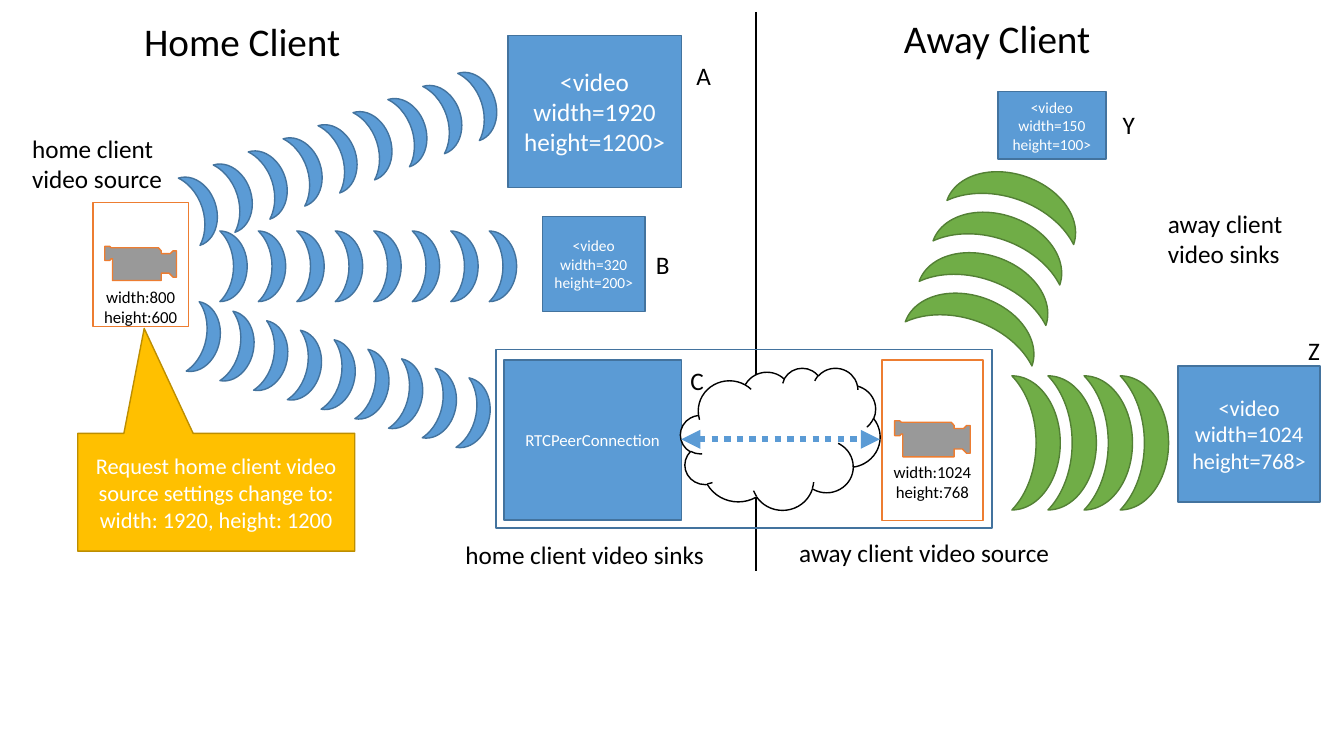
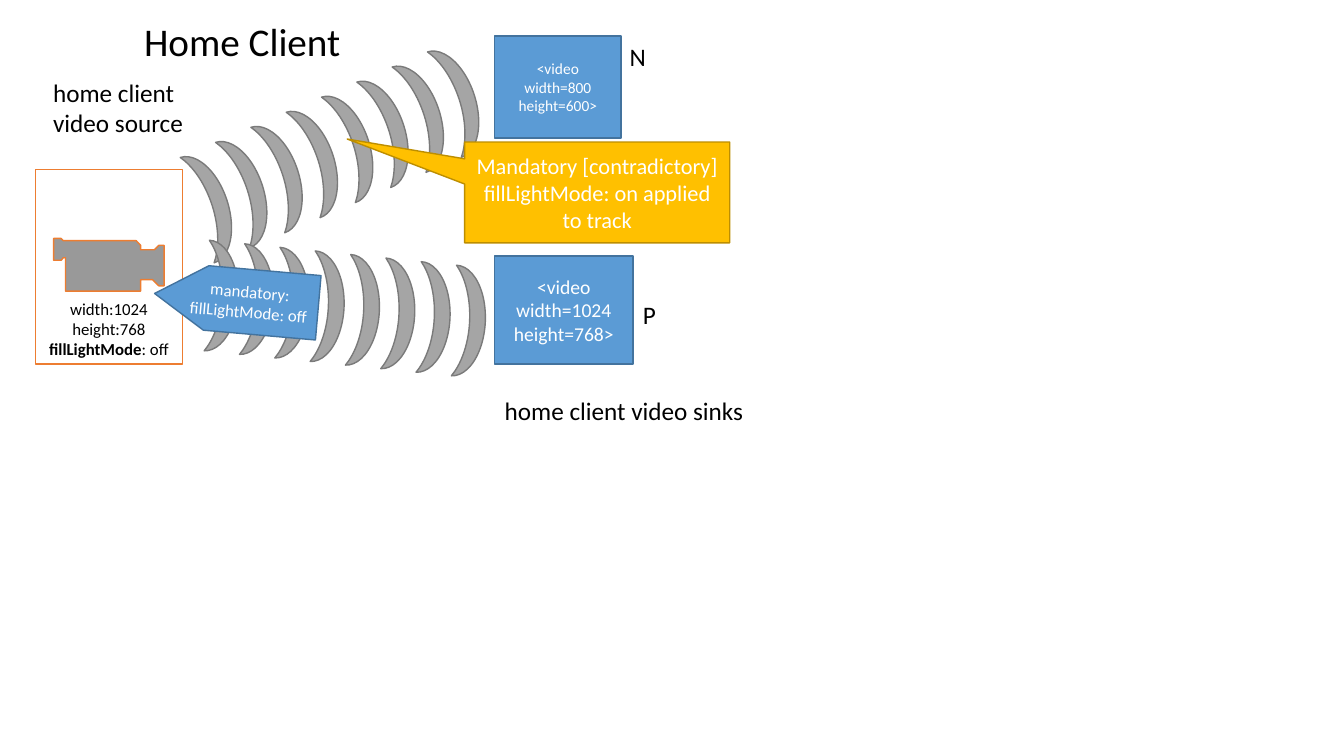
"""Build two slides that show video tracks flowing from sources to sinks."""
from lxml.etree import SubElement
from pptx import Presentation
from pptx.dml.color import RGBColor
from pptx.enum.dml import MSO_LINE
from pptx.enum.shapes import MSO_CONNECTOR, MSO_SHAPE
from pptx.enum.text import MSO_ANCHOR as Anchor, MSO_AUTO_SIZE as AutoSize, PP_ALIGN as Align
from pptx.oxml.ns import qn
from pptx.util import Cm, Pt

FONT = "Calibri"
BLACK, WHITE = "000000", "FFFFFF"
BLUE = ("5B9BD5", "43739E")
GREEN = ("70AD47", "538035")
GRAY = ("A5A5A5", "7A7A7A")
GOLD = ("FFC000", "BD8E00")
CAMERA = (WHITE, "ED7D31")
CLOUD = (WHITE, BLACK)
OUTLINE = (None, BLUE[1])

TITLE_SIZE, LABEL_SIZE, CALLOUT_SIZE, SMALL_SIZE = 28, 18, 16, 12
SMALL_WAVE, LARGE_WAVE, GRAY_WAVE = (0.69, 1.78), (1.22, 3.38), (0.79, 2.79)
HOME_TITLE = ((3.38, 0.3, 5.51), TITLE_SIZE, ["Home Client"])
HOME_SOURCE = ["home client", "video source"]
HOME_SINKS = ["home client video sinks"]

# Boxes are left, top, width, height in centimetres; waves are start, step, count, size, rotation.
CLIENTS = {
    "cameras": [
        ((2.34, 5.11, 2.41, 3.12), 0, ["width:800", "height:600"]),
        ((22.23, 9.07, 2.54, 4.04), 0.47, ["width:1024", "height:768"]),
    ],
    "sinks": [
        ((12.8, 0.89, 4.37, 3.84), 18, ["<video", "width=1920", "height=1200>"]),
        ((13.67, 5.46, 2.59, 2.39), 11, ["<video", "width=320", "height=200>"]),
        ((12.7, 9.07, 4.47, 4.04), SMALL_SIZE, ["RTCPeerConnection"]),
        ((29.69, 9.22, 3.58, 3.43), 16, ["<video", "width=1024", "height=768>"]),
        ((25.15, 2.31, 2.72, 1.7), 11, ["<video", "width=150", "height=100>"]),
    ],
    "waves": [
        ((4.75, 4.34), (0.88, -0.33), 9, SMALL_WAVE, 162.2, BLUE),
        ((5.54, 5.82), (0.97, 0), 8, SMALL_WAVE, 180, BLUE),
        ((4.85, 7.65), (0.85, 0.24), 9, SMALL_WAVE, 190.6, BLUE),
        ((24, 6.4), (0.35, -1.02), 4, LARGE_WAVE, 109.2, GREEN),
        ((25.5, 9.47), (0.91, 0), 4, LARGE_WAVE, 180, GREEN),
    ],
    "labels": [
        HOME_TITLE,
        ((22.53, 0.23, 5.26), TITLE_SIZE, ["Away Client"]),
        ((0.56, 3.23, 3.84), LABEL_SIZE, HOME_SOURCE),
        ((11.48, 13.46, 6.6), LABEL_SIZE, HOME_SINKS),
        ((19.89, 13.41, 6.96), LABEL_SIZE, ["away client video source"]),
        ((29.18, 5.13, 3.58), LABEL_SIZE, ["away client", "video sinks"]),
        ((17.3, 1.4, 0.89), LABEL_SIZE, ["A"]),
        ((16.28, 6.17, 0.86), LABEL_SIZE, ["B"]),
        ((17.15, 9.07, 0.86), LABEL_SIZE, ["C"]),
        ((28.04, 2.64, 0.81), LABEL_SIZE, ["Y"]),
        ((32.72, 8.33, 0.81), LABEL_SIZE, ["Z"]),
    ],
    "callout": ((1.96, 10.92, 6.98, 2.97), (-0.26, -1.39),
                ["Request home client video source settings change to:",
                 "width: 1920, height: 1200"]),
}
CONSTRAINTS = {
    "cameras": [((0.89, 4.27, 3.71, 4.9), 0.12,
                 ["width:1024", "height:768", ("fillLightMode", ": off")])],
    "sinks": [
        ((12.47, 6.45, 3.48, 2.72), 14, ["<video", "width=1024", "height=768>"]),
        ((12.47, 0.91, 3.18, 2.57), 11, ["<video", "width=800", "height=600>"]),
    ],
    "waves": [
        ((4.95, 3.78), (0.89, -0.38), 8, GRAY_WAVE, 162.2, GRAY),
        ((5.21, 6.07), (0.89, 0.09), 8, GRAY_WAVE, 182.7, GRAY),
    ],
    "labels": [
        HOME_TITLE,
        ((1.09, 1.83, 3.84), LABEL_SIZE, HOME_SOURCE),
        ((12.47, 9.83, 6.6), LABEL_SIZE, HOME_SINKS),
        ((15.62, 0.91, 0.91), LABEL_SIZE, ["N"]),
        ((15.95, 7.42, 0.84), LABEL_SIZE, ["P"]),
    ],
    "callout": ((11.71, 3.58, 6.68, 2.54), (-0.943, -0.53),
                ["Mandatory [contradictory] fillLightMode: on applied to track"]),
}
DIVIDER = (19.05, 0.3, 19.05, 14.38)
NETWORK_CLOUD = (17.15, 9.27, 5.03, 3.58)
NETWORK_LINK = (17.17, 11.07, 22.17, 11.07)
CONNECTION_FRAME = (12.5, 8.81, 12.5, 4.5)
MANDATORY_TAG = (3.89, 6.76, 4.14, 1.63)


def rgb(color):
    return RGBColor.from_string(color)


def write(shape, lines, size, color=WHITE, align=Align.CENTER):
    """Write one paragraph per line; a pair is a bold part and a plain part."""
    frame = shape.text_frame
    for index, line in enumerate(lines):
        paragraph = frame.add_paragraph() if index else frame.paragraphs[0]
        paragraph.alignment = align
        if isinstance(line, tuple):
            for part in line:
                paragraph.add_run().text = part
            paragraph.runs[0].font.bold = True
        else:
            paragraph.text = line
        for run in paragraph.runs:
            run.font.name, run.font.size = FONT, Pt(size)
            run.font.color.rgb = rgb(color)


def add_shape(slide, kind, box, colors, adjustments=(), rotation=0):
    shape = slide.shapes.add_shape(kind, *map(Cm, box))
    fill, outline = colors
    shape.shadow.inherit = False
    if fill:
        shape.fill.solid()
        shape.fill.fore_color.rgb = rgb(fill)
    else:
        shape.fill.background()
    shape.line.color.rgb = rgb(outline)
    shape.line.width = Pt(1)
    shape.rotation = rotation
    for index, value in enumerate(adjustments):
        shape.adjustments[index] = value
    shape.text_frame.vertical_anchor = Anchor.MIDDLE
    shape.text_frame.word_wrap = True
    return shape


def add_line(slide, ends, color, width):
    line = slide.shapes.add_connector(MSO_CONNECTOR.STRAIGHT, *map(Cm, ends))
    line.line.color.rgb = rgb(color)
    line.line.width = Pt(width)
    SubElement(line._element.spPr, qn("a:effectLst"))
    return line


def add_cameras(slide, cameras):
    for box, bottom, lines in cameras:
        camera = add_shape(slide, MSO_SHAPE.ACTION_BUTTON_MOVIE, box, CAMERA)
        camera.text_frame.vertical_anchor = Anchor.BOTTOM
        camera.text_frame.margin_bottom = Cm(bottom)
        write(camera, lines, SMALL_SIZE, BLACK)


def add_sinks(slide, sinks):
    for box, size, lines in sinks:
        write(add_shape(slide, MSO_SHAPE.RECTANGLE, box, BLUE), lines, size)


def add_waves(slide, waves):
    for (left, top), (step_x, step_y), count, size, rotation, colors in waves:
        for index in range(count):
            box = (left + index * step_x, top + index * step_y, *size)
            add_shape(slide, MSO_SHAPE.MOON, box, colors, rotation=rotation)


def add_labels(slide, labels):
    for (left, top, width), size, lines in labels:
        height = 0.25 + len(lines) * size * 0.043
        label = slide.shapes.add_textbox(*map(Cm, (left, top, width, height)))
        label.text_frame.word_wrap = False
        label.text_frame.auto_size = AutoSize.SHAPE_TO_FIT_TEXT
        write(label, lines, size, BLACK, Align.LEFT)


def add_callout(slide, callout):
    box, pointer, lines = callout
    shape = add_shape(slide, MSO_SHAPE.RECTANGULAR_CALLOUT, box, GOLD, pointer)
    write(shape, lines, CALLOUT_SIZE)


def add_connection(slide):
    add_shape(slide, MSO_SHAPE.CLOUD, NETWORK_CLOUD, CLOUD)
    link = add_line(slide, NETWORK_LINK, BLUE[0], 4.5)
    link.line.dash_style = MSO_LINE.ROUND_DOT
    for end in ("a:headEnd", "a:tailEnd"):
        SubElement(link.line._get_or_add_ln(), qn(end)).set("type", "triangle")
    add_shape(slide, MSO_SHAPE.RECTANGLE, CONNECTION_FRAME, OUTLINE)


def add_mandatory_tag(slide):
    tag = add_shape(slide, MSO_SHAPE.PENTAGON, MANDATORY_TAG, BLUE, (0.8,), 5)
    tag._element.spPr.find(qn("a:xfrm")).set("flipH", "1")
    write(tag, ["mandatory:", "fillLightMode: off"], SMALL_SIZE)


def add_tracks(slide, content):
    add_cameras(slide, content["cameras"])
    add_sinks(slide, content["sinks"])
    add_waves(slide, content["waves"])
    add_callout(slide, content["callout"])


presentation = Presentation()
presentation.slide_width, presentation.slide_height = Cm(33.87), Cm(19.05)
blank = presentation.slide_layouts[6]

clients = presentation.slides.add_slide(blank)
add_line(clients, DIVIDER, BLACK, 1.5)
add_tracks(clients, CLIENTS)
add_connection(clients)
add_labels(clients, CLIENTS["labels"])

constraints = presentation.slides.add_slide(blank)
add_tracks(constraints, CONSTRAINTS)
add_mandatory_tag(constraints)
add_labels(constraints, CONSTRAINTS["labels"])

presentation.save("out.pptx")
